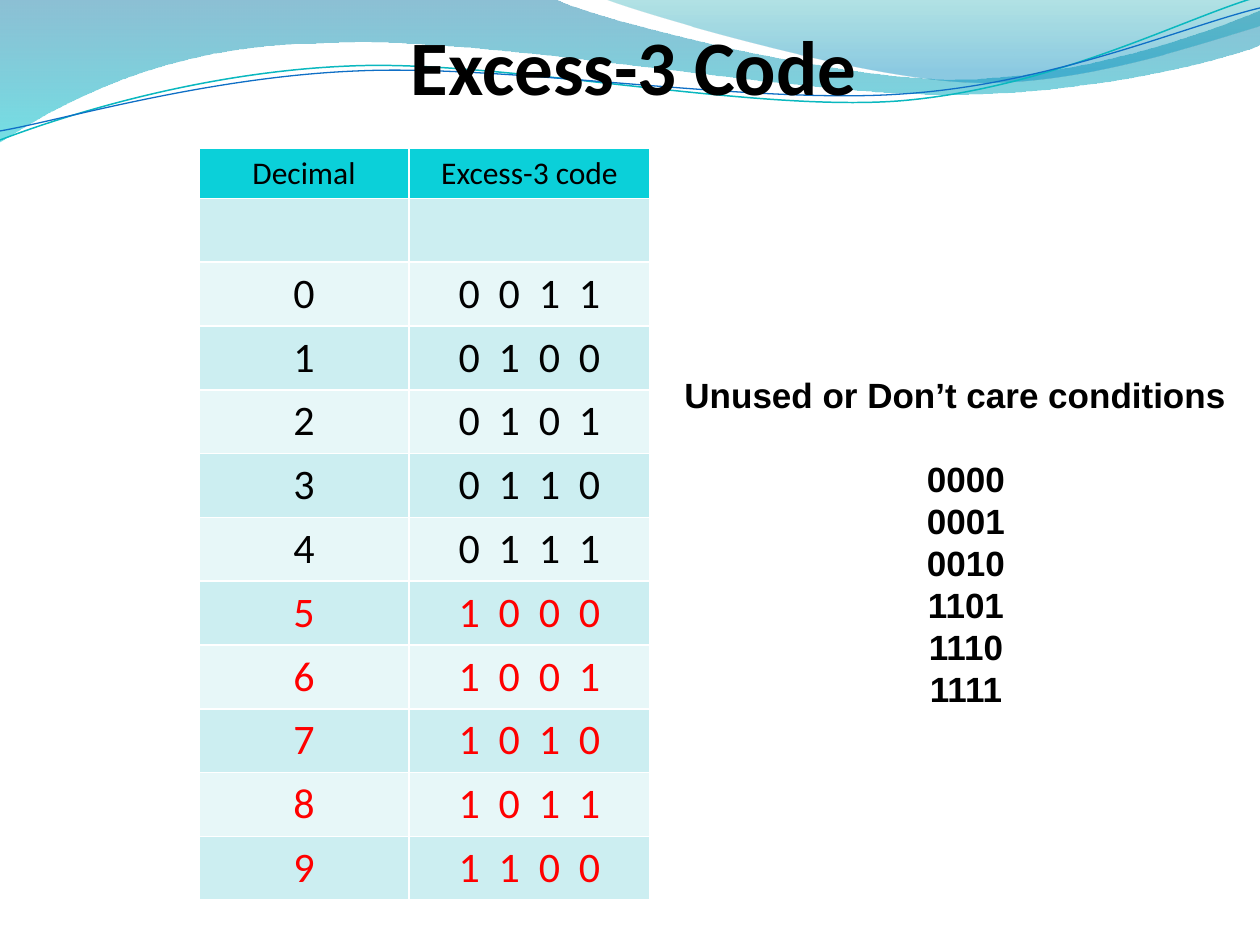
from lxml.etree import SubElement
from pptx import Presentation
from pptx.dml.color import RGBColor as RGB
from pptx.enum.text import MSO_ANCHOR as Anchor, PP_ALIGN as Align
from pptx.oxml.ns import qn
from pptx.util import Pt

SCALE = 914400 / 126
BLACK = RGB(0, 0, 0)
WHITE = RGB(0xFF, 0xFF, 0xFF)
RED = RGB(0xFF, 0, 0)
HEAD = RGB(0x0B, 0xD0, 0xD9)
BANDS = RGB(0xE7, 0xF7, 0xF8), RGB(0xCC, 0xEE, 0xF1)
SEA, AQUA = RGB(0, 0x74, 0xA1), RGB(0, 0xC6, 0xCF)
TEAL, SKY = RGB(0, 0xA1, 0xA9), RGB(0, 0x8B, 0xBF)
CYAN, BLUE = RGB(0x0A, 0xB8, 0xBF), RGB(0x0F, 0x6F, 0xC6)

# Each path is a start point, then straight (1 point) or cubic (3 points) parts.
WAVE = [(0, -1), [(554, -1)],
        [(600, 21), (837, 79), (955, 79)], [(1075, 79), (1207, 33), (1260, 11)],
        [(1261, 45)], [(1239, 55), (1096, 96), (940, 94)],
        [(784, 94), (481, 35), (324, 43)], [(163, 44), (58, 105), (-1, 142)]]
CREST = [(604, -1), [(641, 14), (859, 78), (969, 82)],
         [(1079, 87), (1211, 40), (1260, 26)], [(1260, 0)]]
UPPER = [(0, 140), [(60, 117), (199, 72), (349, 66)],
         [(498, 59), (747, 112), (898, 101)], [(1050, 89), (1182, 19), (1257, -3)]]
LOWER = [(0, 131), [(59, 121), (207, 77), (357, 71)],
         [(508, 64), (752, 105), (903, 94)], [(1053, 84), (1185, 26), (1260, 8)]]


def emu(px):
    return round(px * SCALE)


def outline(slide, path, close):
    """Draw a path, joining each three-point part into one cubic curve."""
    start, *parts = path
    pen = slide.shapes.build_freeform(*start, scale=SCALE)
    pen.add_line_segments([pt for part in parts for pt in part], close=close)
    shape = pen.convert_to_shape()
    shape.shadow.inherit = False
    lines = iter(list(shape._element.iter(qn("a:lnTo"))))
    for part in parts:
        group = [next(lines) for _ in part]
        if len(group) == 3:
            first = group[0]
            first.tag = qn("a:cubicBezTo")
            for line in group[1:]:
                first.append(line[0])
                line.getparent().remove(line)
    return shape


def add_wave(slide, path, stops):
    """Fill a closed path downwards with (position, colour, opacity) stops."""
    shape = outline(slide, path, True)
    shape.line.fill.background()
    shape.fill.gradient()
    shape.fill.gradient_angle = 270
    for stop, (pos, color, _) in zip(shape.fill.gradient_stops, stops):
        stop.position = pos
        stop.color.rgb = color
    tags = list(shape._element.spPr.iter(qn("a:srgbClr")))
    for tag, (_, _, alpha) in zip(tags, stops):
        SubElement(tag, qn("a:alpha"), val=str(alpha * 1000))


def add_curve(slide, path, color, width):
    shape = outline(slide, path, False)
    shape.fill.background()
    shape.line.color.rgb = color
    shape.line.width = Pt(width)


def style(par, size, name="Calibri", color=BLACK, bold=False):
    for run in par.runs:
        font = run.font
        font.size, font.name, font.bold = Pt(size), name, bold
        font.color.rgb = color


def add_box(slide, x, y, w, h):
    box = slide.shapes.add_textbox(emu(x), emu(y), emu(w), emu(h))
    box.text_frame.word_wrap = True
    return box.text_frame


def add_title(slide, text):
    frame = add_box(slide, 411, 44, 687, 67)
    frame.margin_left = frame.margin_right = 0
    frame.margin_top = frame.margin_bottom = 0
    frame.text = text
    par = frame.paragraphs[0]
    par.line_spacing = Pt(38)
    style(par, 44, bold=True)


def add_notes(slide, head, codes):
    """Put a heading over a centred list of codes."""
    frame = add_box(slide, 672, 367, 588, 352)
    frame.text = "\n".join([head, *codes])
    for i, par in enumerate(frame.paragraphs):
        par.line_spacing = Pt(24)
        if i:
            par.alignment = Align.CENTER
        if i == 1:
            par.space_before = Pt(24)
        style(par, 20, "Arial", bold=True)


def edge(cell):
    props = cell._tc.get_or_add_tcPr()
    for side in "LRTB":
        line = SubElement(props, qn("a:ln" + side), w=str(Pt(1)))
        fill = SubElement(line, qn("a:solidFill"))
        SubElement(fill, qn("a:srgbClr"), val=str(WHITE))


def fill_cell(cell, text, size, color, back):
    edge(cell)
    cell.fill.solid()
    cell.fill.fore_color.rgb = back
    cell.vertical_anchor = Anchor.MIDDLE
    cell.text = text
    par = cell.text_frame.paragraphs[0]
    par.alignment = Align.CENTER
    style(par, size, color=color)


def add_codes(slide):
    """Tabulate the digits 0 to 9 with their codes."""
    rows = [("Decimal", "Excess-3 code"), ("", "")]
    rows += [(str(n), " ".join(f"{n + 3:04b}")) for n in range(10)]
    table = slide.shapes.add_table(len(rows), 2, emu(199), emu(148),
                                   emu(451), emu(752)).table
    table.first_row = table.horz_banding = False
    for col, width in zip(table.columns, (210, 241)):
        col.width = emu(width)
    for r, row in enumerate(rows):
        table.rows[r].height = emu(702) // 11 if r else emu(50)
        back = BANDS[r % 2] if r else HEAD
        color = RED if r > 6 else BLACK
        for c, text in enumerate(row):
            cell = table.cell(r, c)
            fill_cell(cell, text, 24 if r else 18, color, back)
            if r > 1 and c:
                run = cell.text_frame.paragraphs[0].runs[0]
                run.font._element.set("spc", "270")


def main():
    deck = Presentation()
    deck.slide_width, deck.slide_height = emu(1260), emu(945)
    slide = deck.slides.add_slide(deck.slide_layouts[6])
    add_wave(slide, WAVE, [(0, SEA, 45), (1, AQUA, 55)])
    add_wave(slide, CREST, [(0, TEAL, 30), (0.8, SKY, 45)])
    add_curve(slide, UPPER, CYAN, 0.85)
    add_curve(slide, LOWER, BLUE, 0.75)
    add_title(slide, "Excess-3 Code")
    add_codes(slide)
    unused = [f"{n:04b}" for n in range(16) if not 3 <= n <= 12]
    add_notes(slide, "Unused or Don’t care conditions", unused)
    deck.save("out.pptx")


if __name__ == "__main__":
    main()
